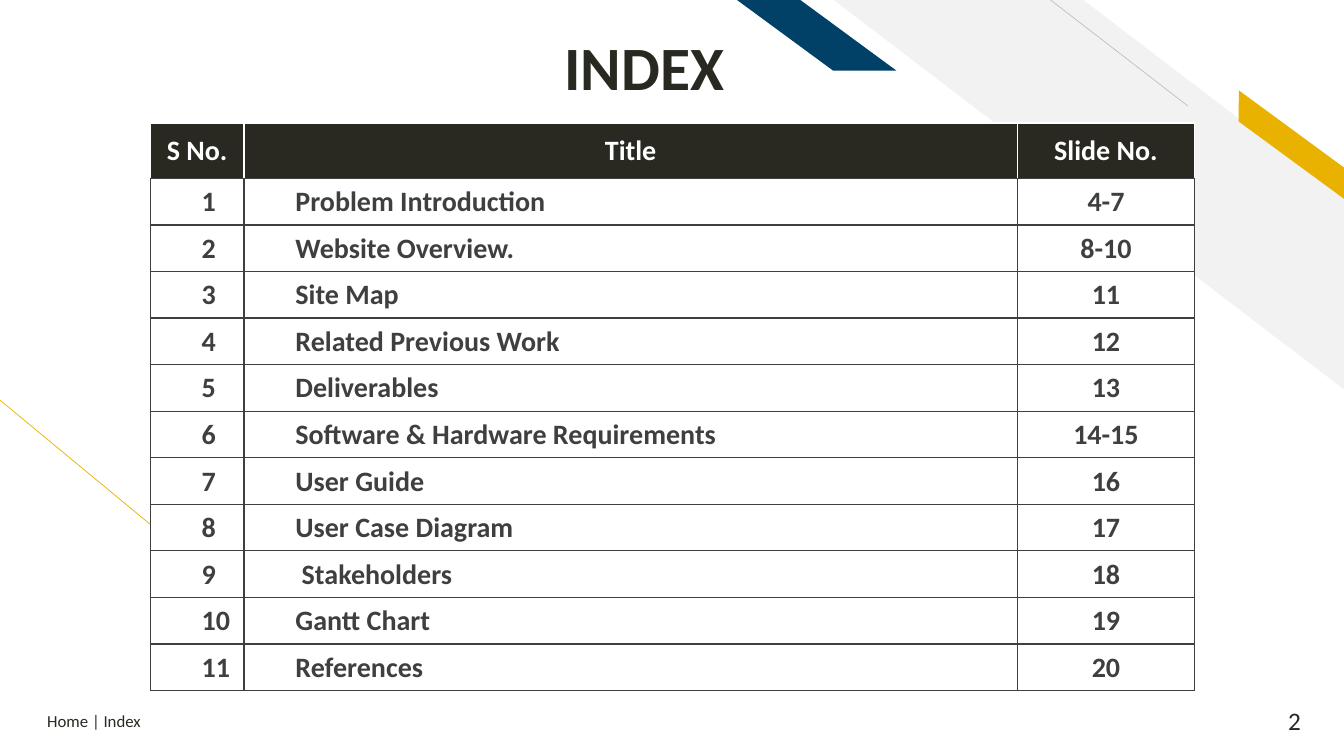
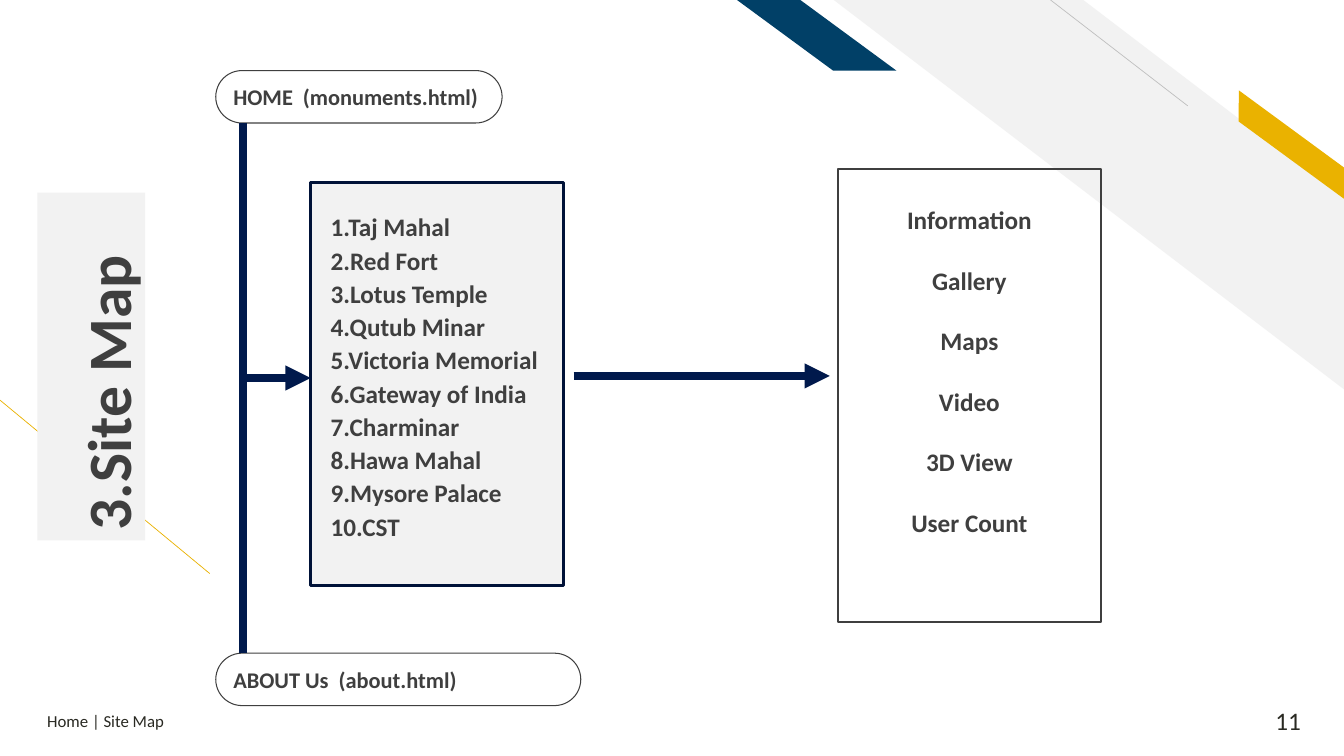
import pptx
import pptx.dml.color
import pptx.enum.shapes
import pptx.enum.text
import pptx.oxml.ns
import pptx.util
from lxml import etree

Inches = pptx.util.Inches
Pt = pptx.util.Pt
RGBColor = pptx.dml.color.RGBColor
SHAPE = pptx.enum.shapes.MSO_SHAPE
LINK = pptx.enum.shapes.MSO_CONNECTOR
ALIGN = pptx.enum.text.PP_ALIGN
ANCHOR = pptx.enum.text.MSO_ANCHOR
qn = pptx.oxml.ns.qn

WHITE = RGBColor(0xFF, 0xFF, 0xFF)
PALE = RGBColor(0xF2, 0xF2, 0xF2)
SILVER = RGBColor(0xBF, 0xBF, 0xBF)
GRAY = RGBColor(0x3F, 0x3F, 0x3F)
DARK = RGBColor(0x29, 0x29, 0x22)
GOLD = RGBColor(0xEA, 0xB2, 0x00)
BLUE = RGBColor(0x01, 0x40, 0x67)
NAVY = RGBColor(0x00, 0x19, 0x4C)
EDGE = RGBColor(0x00, 0x12, 0x38)

FONT = "Calibri"
INSETS = (0.1, 0.05, 0.1, 0.05)
TITLE = dict(size=44, bold=True, spacing=0.9, anchor=ANCHOR.BOTTOM,
             insets=(0.1, 0.05, 0.1, 0))

TOPICS = [
    ("Problem Introduction", "4-7"),
    ("Website Overview.", "8-10"),
    ("Site Map", "11"),
    ("Related Previous Work", "12"),
    ("Deliverables", "13"),
    ("Software & Hardware Requirements", "14-15"),
    ("User Guide", "16"),
    ("User Case Diagram", "17"),
    (" Stakeholders", "18"),
    ("Gantt Chart", "19"),
    ("References", "20"),
]
SITES = ["Taj Mahal", "Red Fort", "Lotus Temple", "Qutub Minar",
         "Victoria Memorial", "Gateway of India", "Charminar",
         "Hawa Mahal", "Mysore Palace", "CST"]
VIEWS = ["Information", "Gallery", "Maps", "Video", "3D View", "User Count"]


def write(frame, text, size=18, color=DARK, bold=False, align=ALIGN.LEFT,
          spacing=None, anchor=ANCHOR.TOP, insets=INSETS):
    """Fill a text frame, one paragraph for each line of text."""
    frame.word_wrap = True
    frame.vertical_anchor = anchor
    (frame.margin_left, frame.margin_top,
     frame.margin_right, frame.margin_bottom) = map(Inches, insets)
    frame.text = text
    for para in frame.paragraphs:
        para.alignment = align
        if spacing:
            para.line_spacing = spacing
        for run in para.runs:
            run.font.name = FONT
            run.font.size = Pt(size)
            run.font.bold = bold
            run.font.color.rgb = color


def add_text(slide, place, text, **style):
    box = slide.shapes.add_textbox(*map(Inches, place))
    write(box.text_frame, text, **style)


def add_shape(slide, kind, place, fill=None, edge=None, width=1,
              adjust=None, turn=0, flip=False):
    shape = slide.shapes.add_shape(kind, *map(Inches, place))
    shape.shadow.inherit = False
    shape.rotation = turn
    if adjust is not None:
        shape.adjustments[0] = adjust
    if flip:
        shape.element.spPr.find(qn("a:xfrm")).set("flipH", "1")
    if fill is None:
        shape.fill.background()
    else:
        shape.fill.solid()
        shape.fill.fore_color.rgb = fill
    if edge is None:
        shape.line.fill.background()
    else:
        shape.line.color.rgb = edge
        shape.line.width = Pt(width)
    return shape


def add_line(slide, ends, color, width, arrow=False):
    line = slide.shapes.add_connector(LINK.STRAIGHT, *map(Inches, ends))
    line.line.color.rgb = color
    line.line.width = Pt(width)
    if arrow:
        stroke = line.line._get_or_add_ln()
        etree.SubElement(stroke, qn("a:tailEnd"), type="triangle")
    etree.SubElement(line.element.spPr, qn("a:effectLst"))


def add_pill(slide, place, text):
    pill = add_shape(slide, SHAPE.ROUNDED_RECTANGLE, place,
                     edge=GRAY, width=0.75, adjust=0.5)
    write(pill.text_frame, text, size=16, color=GRAY, bold=True)


def set_edges(cell, **edges):
    """Draw cell borders, given as L, R, T and B in that order."""
    props = cell._tc.get_or_add_tcPr()
    for side, color in edges.items():
        line = etree.SubElement(props, qn("a:ln" + side), w=str(Pt(1)))
        fill = etree.SubElement(line, qn("a:solidFill"))
        etree.SubElement(fill, qn("a:srgbClr"), val=str(color))


def fill_cell(cell, text, head, center):
    side = WHITE if head else GRAY
    set_edges(cell, L=side, R=side, T=side, B=GRAY)
    cell.fill.solid()
    cell.fill.fore_color.rgb = DARK if head else WHITE
    write(cell.text_frame, text, size=20, bold=True,
          color=WHITE if head else GRAY,
          align=ALIGN.CENTER if center else ALIGN.LEFT)
    cell.vertical_anchor = ANCHOR.MIDDLE
    cell.margin_left = cell.margin_top = cell.margin_right = Inches(0.01)
    cell.margin_bottom = 0
    if not center:
        para = cell.text_frame.paragraphs[0]
        para._p.get_or_add_pPr().set("marL", str(Inches(0.5)))


def add_index(slide):
    rows = [("S No.", "Title", "Slide No.")]
    rows += [(str(num), *topic) for num, topic in enumerate(TOPICS, 1)]
    widths = (0.93, 7.67, 1.76)
    tall, first = 5.63, 0.55
    table = slide.shapes.add_table(
        len(rows), len(widths), Inches(1.49), Inches(1.22),
        Inches(sum(widths)), Inches(tall)).table
    for column, width in zip(table.columns, widths):
        column.width = Inches(width)
    for r, row in enumerate(rows):
        high = first if r == 0 else (tall - first) / len(TOPICS)
        table.rows[r].height = Inches(high)
        for c, text in enumerate(row):
            fill_cell(table.cell(r, c), text, r == 0, r == 0 or c == 2)


def add_page(deck, name, number):
    """Add a slide with the shared bands, lines and footer."""
    slide = deck.slides.add_slide(deck.slide_layouts[6])
    add_line(slide, (2.08, 5.69, 0, 3.97), GOLD, 0.5)
    add_shape(slide, SHAPE.DIAGONAL_STRIPE, (8.27, 0, 5.07, 3.87), PALE,
              adjust=0.512, flip=True)
    add_line(slide, (11.78, 1.05, 10.42, 0), SILVER, 0.5)
    add_shape(slide, SHAPE.PARALLELOGRAM, (12.07, 1.31, 1.48, 0.25), GOLD,
              adjust=0.72, turn=36.3, flip=True)
    add_shape(slide, SHAPE.PARALLELOGRAM, (7.31, 0, 1.58, 0.7), BLUE,
              adjust=1.36, flip=True)
    add_text(slide, (0.37, 6.95, 4.5, 0.4), "Home | " + name, size=12,
             anchor=ANCHOR.MIDDLE)
    add_text(slide, (12.19, 6.95, 0.81, 0.4), str(number),
             align=ALIGN.RIGHT, anchor=ANCHOR.MIDDLE)
    return slide


def draw_index(deck):
    slide = add_page(deck, "Index", 2)
    add_text(slide, (0.59, 0.18, 11.6, 0.85), "INDEX",
             align=ALIGN.CENTER, **TITLE)
    add_index(slide)


def draw_map(deck):
    slide = add_page(deck, "Site Map", 11)
    add_shape(slide, SHAPE.RECTANGLE, (3.08, 1.81, 2.51, 4), PALE,
              edge=EDGE, width=2.25)
    title = add_shape(slide, SHAPE.RECTANGLE, (-0.82, 3.1, 3.45, 1.07),
                      PALE, turn=270)
    write(title.text_frame, "3.Site Map", color=GRAY, **TITLE)
    add_pill(slide, (2.14, 0.7, 2.84, 0.52), "HOME  (monuments.html)")
    add_pill(slide, (2.14, 6.48, 3.62, 0.52), "ABOUT Us  (about.html)")
    add_line(slide, (2.41, 1.22, 2.41, 6.48), NAVY, 6)
    sites = "\n".join(f"{num}.{site}" for num, site in enumerate(SITES, 1))
    add_text(slide, (3.18, 2.02, 2.51, 3.5), sites, color=GRAY, bold=True,
             spacing=1.1)
    add_line(slide, (2.41, 3.75, 3.08, 3.75), NAVY, 6, arrow=True)
    views = add_shape(slide, SHAPE.RECTANGLE, (8.31, 1.68, 2.61, 4.49),
                      edge=GRAY, width=1.5)
    write(views.text_frame, "\n".join(VIEWS), color=GRAY, bold=True,
          align=ALIGN.CENTER, spacing=2.0)
    add_line(slide, (5.69, 3.73, 8.23, 3.73), NAVY, 6, arrow=True)


def main():
    deck = pptx.Presentation()
    deck.slide_width = Inches(13.33)
    deck.slide_height = Inches(7.5)
    draw_index(deck)
    draw_map(deck)
    deck.save("out.pptx")


if __name__ == "__main__":
    main()
